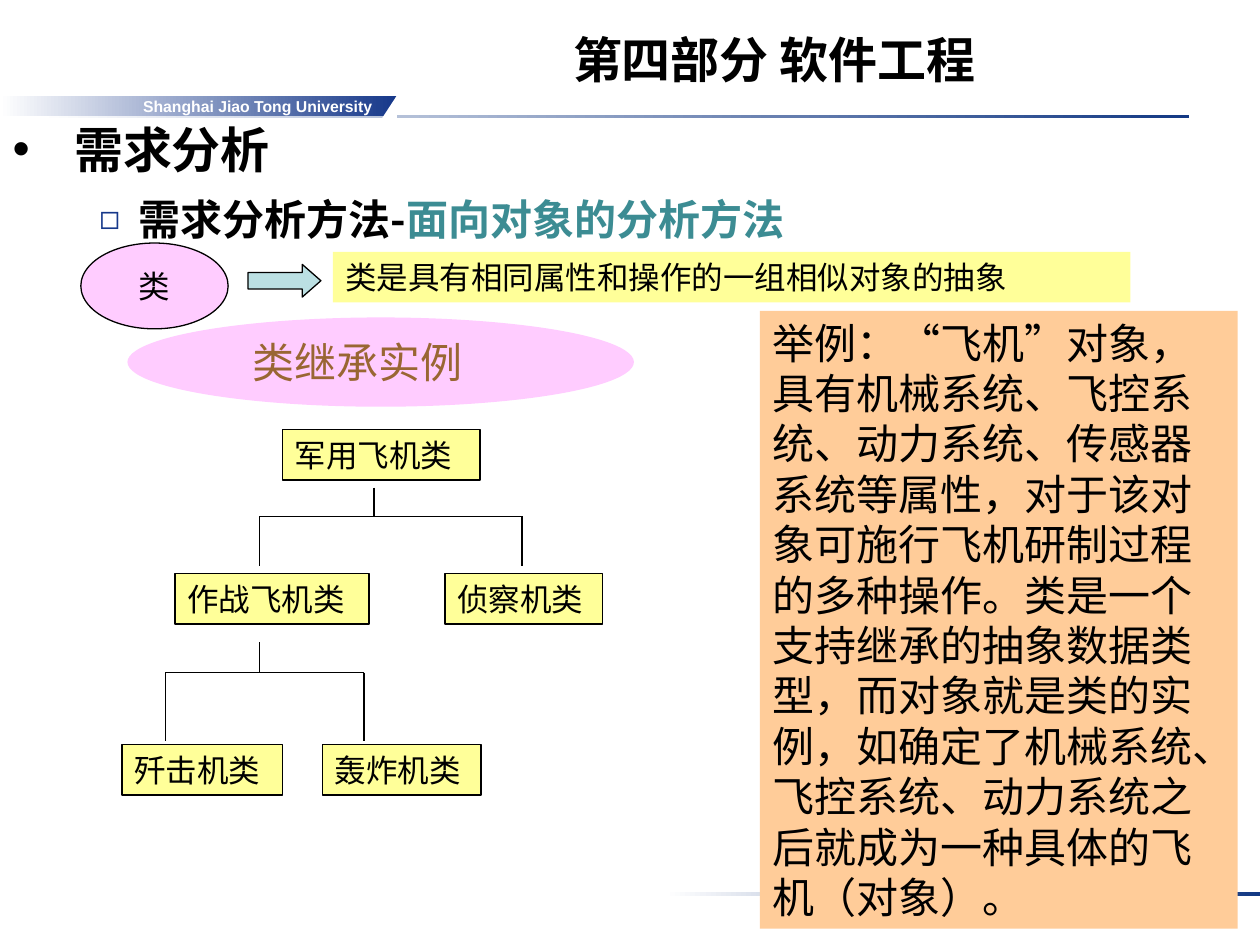
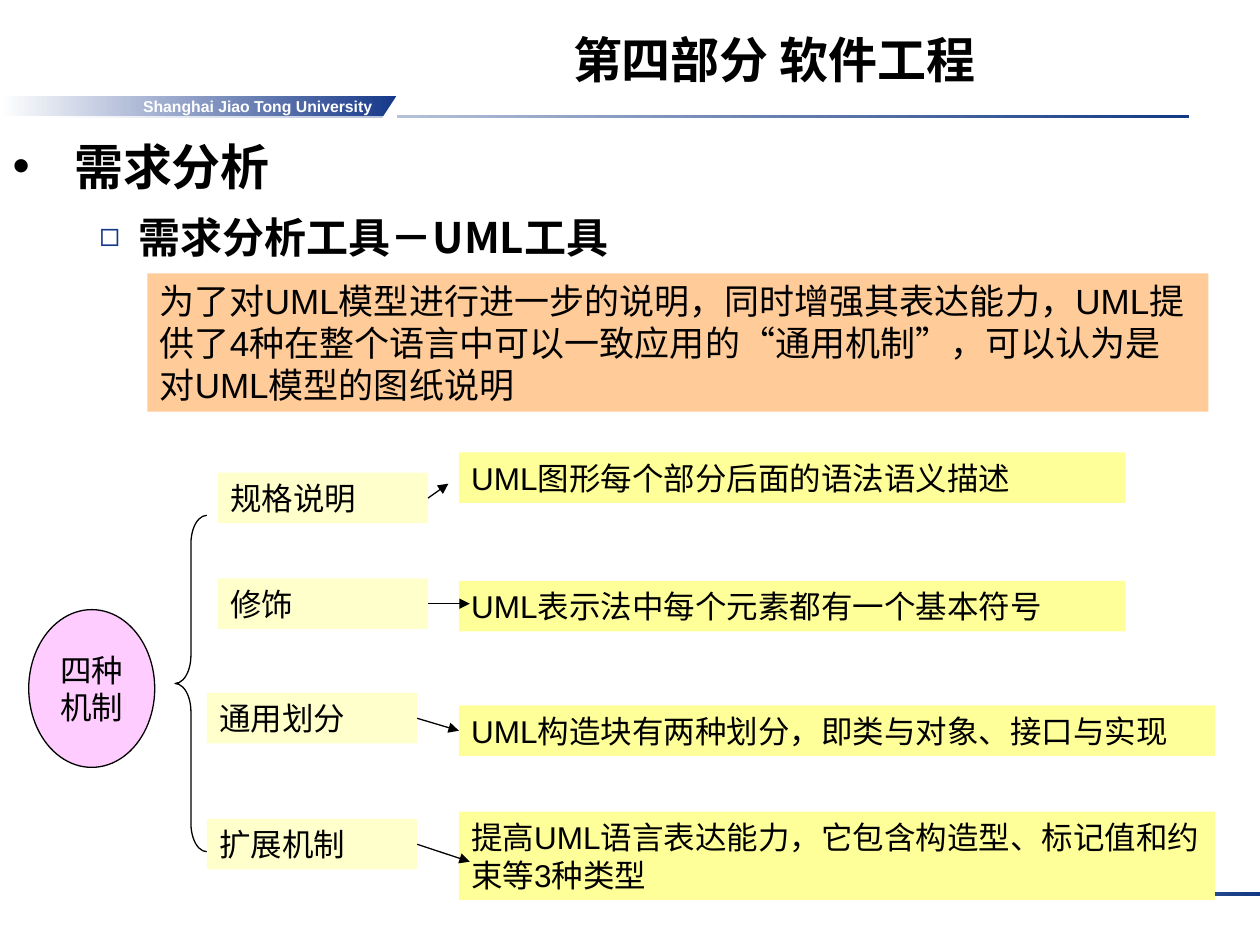
import pptx
import pptx.util
import pptx.dml.color
import pptx.enum.shapes
import pptx.enum.text
import pptx.oxml
import pptx.oxml.ns

Cm = pptx.util.Cm
Pt = pptx.util.Pt
Color = pptx.dml.color.RGBColor.from_string
Kind = pptx.enum.shapes.MSO_SHAPE
Align = pptx.enum.text.PP_ALIGN
Anchor = pptx.enum.text.MSO_ANCHOR
qn = pptx.oxml.ns.qn
NS = 'xmlns:a="http://schemas.openxmlformats.org/drawingml/2006/main"'


class Theme:
    black, white = "000000", "FFFFFF"
    navy, royal = "133984", "16388A"
    teal, brown = "3C8C93", "996633"
    pink, peach, aqua = "FFCCFF", "FFCC99", "BBE0E3"
    lemon, cream = "FFFF99", "FFFFCC"
    latin, han = "Arial", "Noto Sans CJK SC"
    head, lead, note, text, tiny = 28, 24, 20, 18, 9
    line = 0.75


def style(runs, size, color=Theme.black, face=Theme.latin, bold=False):
    for run in runs:
        font = run.font
        font.size, font.bold, font.name = Pt(size), bold, face
        font.color.rgb = Color(color)
        run._r.get_or_add_rPr().append(pptx.oxml.parse_xml(
            f'<a:ea {NS} typeface="{Theme.han}"/>'))


def draw(slide, kind, place, fill=None, line=False, text="", size=Theme.text,
         color=Theme.black, face=Theme.latin, bold=False,
         align=Align.LEFT, anchor=Anchor.TOP, wrap=True):
    """Add a preset shape at place (cm); a pair of fills makes a gradient."""
    shape = slide.shapes.add_shape(kind, *map(Cm, place))
    shape.shadow.inherit = False
    if isinstance(fill, tuple):
        shape.fill.gradient()
        shape.fill.gradient_angle = 0
        for stop, tone in zip(shape.fill.gradient_stops, fill):
            stop.color.rgb = Color(tone)
    elif fill:
        shape.fill.solid()
        shape.fill.fore_color.rgb = Color(fill)
    else:
        shape.fill.background()
    if line:
        shape.line.color.rgb = Color(Theme.black)
        shape.line.width = Pt(Theme.line)
    else:
        shape.line.fill.background()
    if text:
        frame = shape.text_frame
        frame.text = text
        frame.word_wrap, frame.vertical_anchor = wrap, anchor
        for para in frame.paragraphs:
            para.alignment = align
            style(para.runs, size, color, face, bold)
    return shape


deck = pptx.Presentation()
deck.slide_width, deck.slide_height = Cm(25.4), Cm(19.05)

# Body place and the second-level item, in pieces with their colours
pages = [
    ((0, 2.16, 24.46, 16.13),
     [("需求分析方法-", Theme.black), ("面向对象的分析方法", Theme.teal)]),
    ((0, 2.51, 23.5, 14.48), [("需求分析工具－UML工具", Theme.black)]),
]
# Left margin, hanging indent, bullet, its colour and its size in percent
levels = [(1.24, 1.24, "•", Theme.black, 100),
          (2.54, 0.79, "◻", Theme.royal, 80)]

for place, topic in pages:
    slide = deck.slides.add_slide(deck.slide_layouts[1])

    for bar in [(0.79, 2.31, 23.19, 0.08), (13.41, 17.98, 11.99, 0.08)]:
        draw(slide, Kind.RECTANGLE, bar, (Theme.white, Theme.navy))
    band = draw(slide, Kind.RECTANGLE, (0, 1.93, 8, 0.41),
                (Theme.white, Theme.royal),
                text="Shanghai Jiao Tong University", size=Theme.tiny,
                color=Theme.white, bold=True, align=Align.RIGHT,
                anchor=Anchor.MIDDLE, wrap=False)
    band.text_frame.margin_right = Cm(0.5)
    notch = draw(slide, Kind.RIGHT_TRIANGLE, (7.7, 1.93, 0.3, 0.46),
                 Theme.white)
    notch._element.spPr.find(qn("a:xfrm")).set("flipH", "1")

    title, body = slide.shapes.title, slide.placeholders[1]
    for holder, spot in [(title, (6.58, 0, 18.06, 1.91)), (body, place)]:
        holder.left, holder.top, holder.width, holder.height = map(Cm, spot)
        holder.text_frame.auto_size = pptx.enum.text.MSO_AUTO_SIZE.NONE

    title.text_frame.text = "第四部分 软件工程"
    title.text_frame.vertical_anchor = Anchor.BOTTOM
    title.text_frame.paragraphs[0].alignment = Align.CENTER
    style(title.text_frame.paragraphs[0].runs, Theme.head, bold=True)

    frame = body.text_frame
    frame.text = "需求分析"
    first, second = frame.paragraphs[0], frame.add_paragraph()
    second.level = 1
    for para, (left, hang, mark, tone, scale) in zip((first, second), levels):
        props = para._p.get_or_add_pPr()
        props.set("marL", str(Cm(left)))
        props.set("indent", str(-Cm(hang)))
        for part in (f'<a:buClr {NS}><a:srgbClr val="{tone}"/></a:buClr>',
                     f'<a:buSzPct {NS} val="{scale * 1000}"/>',
                     f'<a:buChar {NS} char="{mark}"/>'):
            props.append(pptx.oxml.parse_xml(part))
        para.line_spacing = 1.1
    first.space_before, second.space_before = Pt(0), Pt(6)
    style(first.runs, Theme.head, bold=True)
    for piece, tone in topic:
        run = second.add_run()
        run.text = piece
        style([run], Theme.lead, tone, Theme.han, True)

tree, tools = deck.slides
lines = []  # slide, start, end, arrow, shape joined at start, at end

# Slide 1: what a class is, and a tree of aircraft classes
draw(tree, Kind.OVAL, (1.63, 4.9, 2.97, 1.73), Theme.pink, True, "类",
     align=Align.CENTER, anchor=Anchor.MIDDLE, wrap=False)
draw(tree, Kind.RECTANGLE, (6.71, 5.08, 16.08, 1.02), Theme.lemon,
     text="类是具有相同属性和操作的一组相似对象的抽象")
arrow = draw(tree, Kind.RIGHT_ARROW, (5, 5.33, 1.47, 0.66), Theme.aqua, True)
arrow.adjustments[1] = 0.57
draw(tree, Kind.RECTANGLE, (15.32, 6.27, 9.63, 12.45), Theme.peach,
     text="举例：“飞机”对象，具有机械系统、飞控系统、动力系统、传感器系统等属性，"
          "对于该对象可施行飞机研制过程的多种操作。类是一个支持继承的抽象数据类型，"
          "而对象就是类的实例，如确定了机械系统、飞控系统、动力系统之后就成为"
          "一种具体的飞机（对象）。",
     size=Theme.lead, face=Theme.han)
sample = draw(tree, Kind.OVAL, (2.57, 6.4, 10.21, 1.8), Theme.pink,
              text="类继承实例", size=Theme.lead, color=Theme.brown)
sample.text_frame.margin_left = Cm(1.02)

for name, x, y, width in [("军用飞机类", 5.69, 8.66, 3.99),
                          ("作战飞机类", 3.53, 11.56, 3.91),
                          ("侦察机类", 8.97, 11.56, 3.18),
                          ("歼击机类", 2.46, 15.01, 3.23),
                          ("轰炸机类", 6.5, 15.01, 3.2)]:
    draw(tree, Kind.RECTANGLE, (x, y, width, 1.02), Theme.lemon, True, name)

for stem, left, right, top, bar, foot in [
        (7.54, 5.23, 10.52, 9.83, 10.41, 11.4),
        (5.23, 3.33, 7.34, 12.95, 13.56, 14.94)]:
    for start, end in [((stem, top), (stem, bar)),
                       ((left, bar), (right, bar)),
                       ((left, bar), (left, foot)),
                       ((right, bar), (right, foot))]:
        lines.append((tree, start, end, False, None, None))

# Slide 2: the four common mechanisms
draw(tools, Kind.RECTANGLE, (2.97, 5.51, 21.39, 2.79), Theme.peach,
     text="为了对UML模型进行进一步的说明，同时增强其表达能力，UML提供了4种在整个"
          "语言中可以一致应用的“通用机制”，可以认为是对UML模型的图纸说明",
     size=Theme.note)
draw(tools, Kind.OVAL, (0.58, 12.29, 2.54, 3.18), Theme.pink, True,
     "四种\n机制", align=Align.CENTER, anchor=Anchor.MIDDLE, wrap=False)
brace = draw(tools, Kind.LEFT_BRACE, (3.53, 10.39, 0.64, 6.78), line=True)
brace.adjustments[0] = 0.89

# Label, its place; meaning, its top and size; arrow tip; tip joins the box
for name, x, y, sense, top, width, height, tip, joined in [
        ("规格说明", 4.39, 9.53, "UML图形每个部分后面的语法语义描述",
         9.12, 13.44, 1.02, (9.04, 9.75), False),
        ("修饰", 4.39, 11.66, "UML表示法中每个元素都有一个基本符号",
         11.71, 13.44, 1.02, (9.47, 12.17), False),
        ("通用划分", 4.17, 13.97, "UML构造块有两种划分，即类与对象、接口与实现",
         14.22, 15.24, 1.02, (9.25, 14.73), True),
        ("扩展机制", 4.17, 16.51,
         "提高UML语言表达能力，它包含构造型、标记值和约束等3种类型",
         16.36, 15.24, 1.78, (9.47, 17.37), False)]:
    label = draw(tools, Kind.RECTANGLE, (x, y, 4.24, 1.02), Theme.cream,
                 text=name, face=Theme.han)
    means = draw(tools, Kind.RECTANGLE, (9.25, top, width, height),
                 Theme.lemon, text=sense)
    lines.append((tools, (x + 4.24, y + 0.51), tip, True, label,
                  means if joined else None))

for slide, start, end, tipped, source, target in lines:
    link = slide.shapes.add_connector(
        pptx.enum.shapes.MSO_CONNECTOR.STRAIGHT, *map(Cm, start + end))
    if source:
        link.begin_connect(source, 3)
    if target:
        link.end_connect(target, 1)
    link.line.color.rgb = Color(Theme.black)
    link.line.width = Pt(Theme.line)
    if tipped:
        link.line._get_or_add_ln().append(pptx.oxml.parse_xml(
            f'<a:tailEnd {NS} type="triangle"/>'))
    link._element.spPr.append(pptx.oxml.parse_xml(f'<a:effectLst {NS}/>'))

deck.save("out.pptx")
